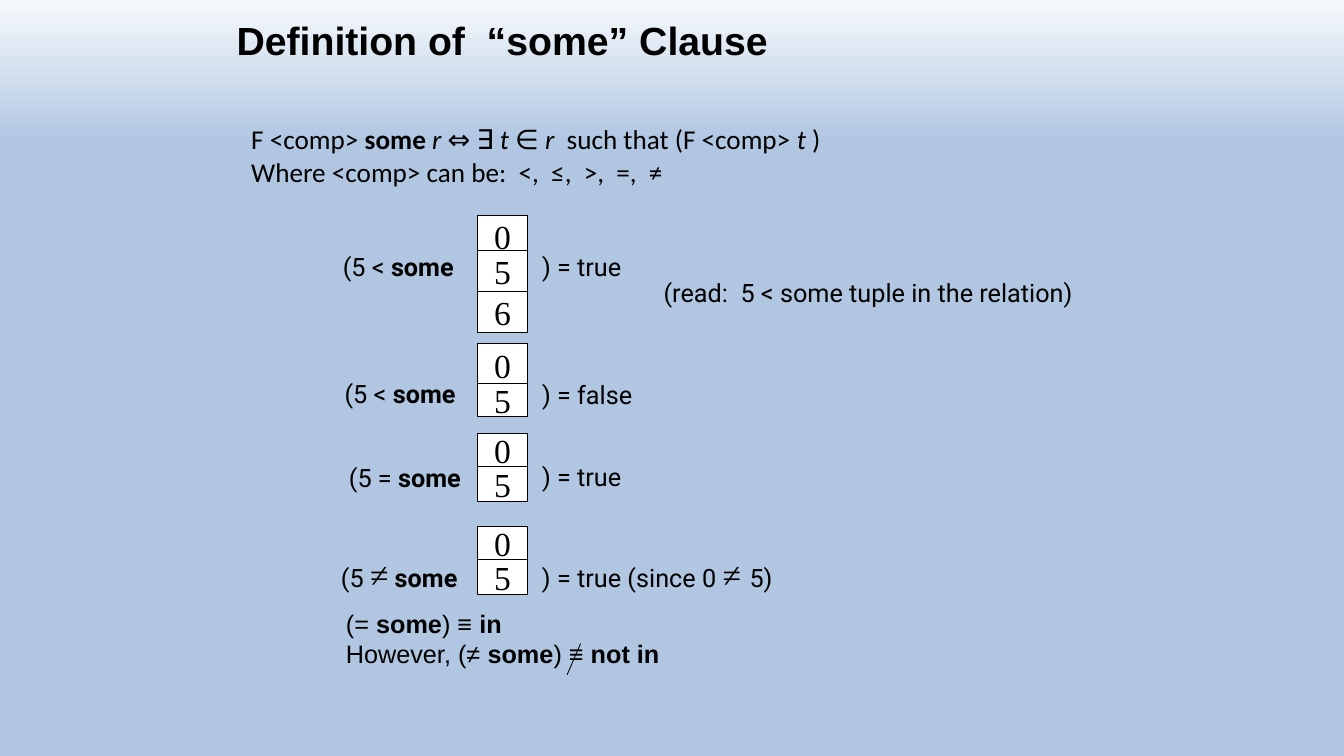
from dataclasses import dataclass

from lxml.etree import SubElement
from pptx import Presentation
from pptx.dml.color import RGBColor
from pptx.enum.shapes import MSO_CONNECTOR, MSO_SHAPE
from pptx.enum.text import MSO_ANCHOR, MSO_AUTO_SIZE, PP_ALIGN
from pptx.oxml.ns import qn
from pptx.util import Inches, Pt


@dataclass(frozen=True)
class Theme:
    ink = RGBColor(0, 0, 0)
    paper = RGBColor(0xFF, 0xFF, 0xFF)
    sky = ((0, RGBColor(0xF6, 0xF9, 0xFC)), (0.19, RGBColor(0xB0, 0xC6, 0xE1)))
    line = Pt(1)
    title = {"name": "Arial", "size": Pt(46.2), "bold": True}
    body = {"name": "Calibri", "size": Pt(32)}
    label = {"name": "Roboto", "size": Pt(29.7)}
    note = {"name": "Arial", "size": Pt(29.7)}
    value = {"name": "Times New Roman", "size": Pt(39.6)}


BOLD = {"bold": True}
ITALIC = {"italic": True}
SYMBOL = Theme.value

CELL_X, CELL_W = 35.52, 3.73
RESULT_X = 39.88

# cells: (value, top, height); label and result: (left, top, width, height), runs
EXAMPLES = [
    ([("0", 28.46, 5.42), ("5", 33.15, 5.42), ("6", 38.56, 5.42)],
     ((25.06, 32.9, 11.1, 4.85), ["(5 < ", ("some", BOLD)]),
     ((RESULT_X, 32.9, 7.5, 4.85), [") = true"])),
    ([("0", 45.43, 5.58), ("5", 50.69, 4.37)],
     ((25.19, 49.64, 11.32, 4.85), ["(5 < ", ("some", BOLD)]),
     ((RESULT_X, 49.8, 10, 4.85), [") = false"])),
    ([("0", 57.32, 4.53), ("5", 61.76, 4.53)],
     ((25.51, 60.71, 12.51, 4.85), ["(5 = ", ("some", BOLD)]),
     ((RESULT_X, 60.63, 10, 4.85), [") = true"])),
    ([("0", 69.6, 4.53), ("5", 74.05, 4.53)],
     ((24.92, 72.92, 11.87, 6.22),
      ["(5 ", ("≠", SYMBOL), " ", ("some", BOLD)]),
     ((RESULT_X, 72.92, 20.6, 6.22),
      [") = true (since 0 ", ("≠ ", SYMBOL), "5)"])),
]

DEFINITION = [
    ["F <comp> ", ("some ", BOLD), ("r ", ITALIC), "⇔ ∃ ", ("t ", ITALIC), "∈",
     (" r  ", ITALIC), "such that (F <comp> ", ("t ", ITALIC), ")"],
    ["Where <comp> can be:  <,  ≤,  >,  =,  ≠"],
]

EQUIVALENCES = [
    ["(= ", ("some", BOLD), ") ≡ ", ("in", BOLD)],
    ["However, (≠ ", ("some", BOLD), ") ≡ ", ("not in", BOLD)],
]


class Deck:
    """Draws on one slide; every length is a percentage of the slide's size."""

    def __init__(self, theme):
        self.theme = theme
        self.prs = Presentation()
        self.prs.slide_width, self.prs.slide_height = Inches(21.99), Inches(12.37)
        self.s = self.prs.slides.add_slide(self.prs.slide_layouts[5])

    def box(self, *shares):
        """Turn alternating width and height percentages into lengths."""
        sides = (self.prs.slide_width, self.prs.slide_height) * 2
        return [round(side * share / 100) for side, share in zip(sides, shares)]

    def background(self):
        fill = self.s.background.fill
        fill.gradient()
        fill.gradient_angle = 270
        for stop, (position, color) in zip(fill.gradient_stops, self.theme.sky):
            stop.position = position
            stop.color.rgb = color

    def fill_text(self, tf, paragraphs, font, align=PP_ALIGN.LEFT, **frame):
        for name, setting in frame.items():
            setattr(tf, name, setting)
        for i, runs in enumerate(paragraphs):
            p = tf.add_paragraph() if i else tf.paragraphs[0]
            p.alignment = align
            for run in runs:
                text, extra = (run, {}) if isinstance(run, str) else run
                r = p.add_run()
                r.text = text
                r.font.color.rgb = self.theme.ink
                for name, setting in {**font, **extra}.items():
                    setattr(r.font, name, setting)

    def title(self, text, *shares):
        sp = self.s.shapes.title
        sp.left, sp.top, sp.width, sp.height = self.box(*shares)
        self.fill_text(sp.text_frame, [[text]], self.theme.title,
                       vertical_anchor=MSO_ANCHOR.TOP,
                       auto_size=MSO_AUTO_SIZE.NONE, **self.margins(0, 0))

    def margins(self, side, end):
        return {"margin_left": Inches(side), "margin_right": Inches(side),
                "margin_top": Inches(end), "margin_bottom": Inches(end)}

    def text(self, shares, paragraphs, font, side=0.1, end=0.05):
        sp = self.s.shapes.add_textbox(*self.box(*shares))
        self.fill_text(sp.text_frame, paragraphs, font, word_wrap=True,
                       **self.margins(side, end))

    def cell(self, value, top, height):
        sp = self.s.shapes.add_shape(
            MSO_SHAPE.RECTANGLE, *self.box(CELL_X, top, CELL_W, height))
        sp.shadow.inherit = False
        sp.fill.solid()
        sp.fill.fore_color.rgb = self.theme.paper
        sp.line.color.rgb = self.theme.ink
        sp.line.width = self.theme.line
        self.fill_text(sp.text_frame, [[value]], self.theme.value, PP_ALIGN.CENTER,
                       vertical_anchor=MSO_ANCHOR.MIDDLE, word_wrap=False)

    def stroke(self, *ends):
        sp = self.s.shapes.add_connector(MSO_CONNECTOR.STRAIGHT, *self.box(*ends))
        sp.line.color.rgb = self.theme.ink
        sp.line.width = self.theme.line
        SubElement(sp._element.spPr, qn("a:effectLst"))


def main():
    theme = Theme()
    deck = Deck(theme)
    deck.background()
    deck.title("Definition of  “some” Clause", 17.6, 2.1, 66.26, 6.31)
    deck.text((18.69, 16.17, 55.75, 8.73), DEFINITION, theme.body, 0, 0)
    for cells, label, result in EXAMPLES:
        for cell in cells:
            deck.cell(*cell)
        for shares, runs in (label, result):
            deck.text(shares, [runs], theme.label)
    deck.text((48.93, 36.22, 40, 4.85),
              [["(read:  5 < some tuple in the relation)"]], theme.label)
    deck.text((25.01, 79.79, 55.75, 10.43), EQUIVALENCES, theme.note, 0.16, 0.08)
    deck.stroke(43.2, 85.13, 42.2, 89.25)
    deck.prs.save("out.pptx")


if __name__ == "__main__":
    main()
